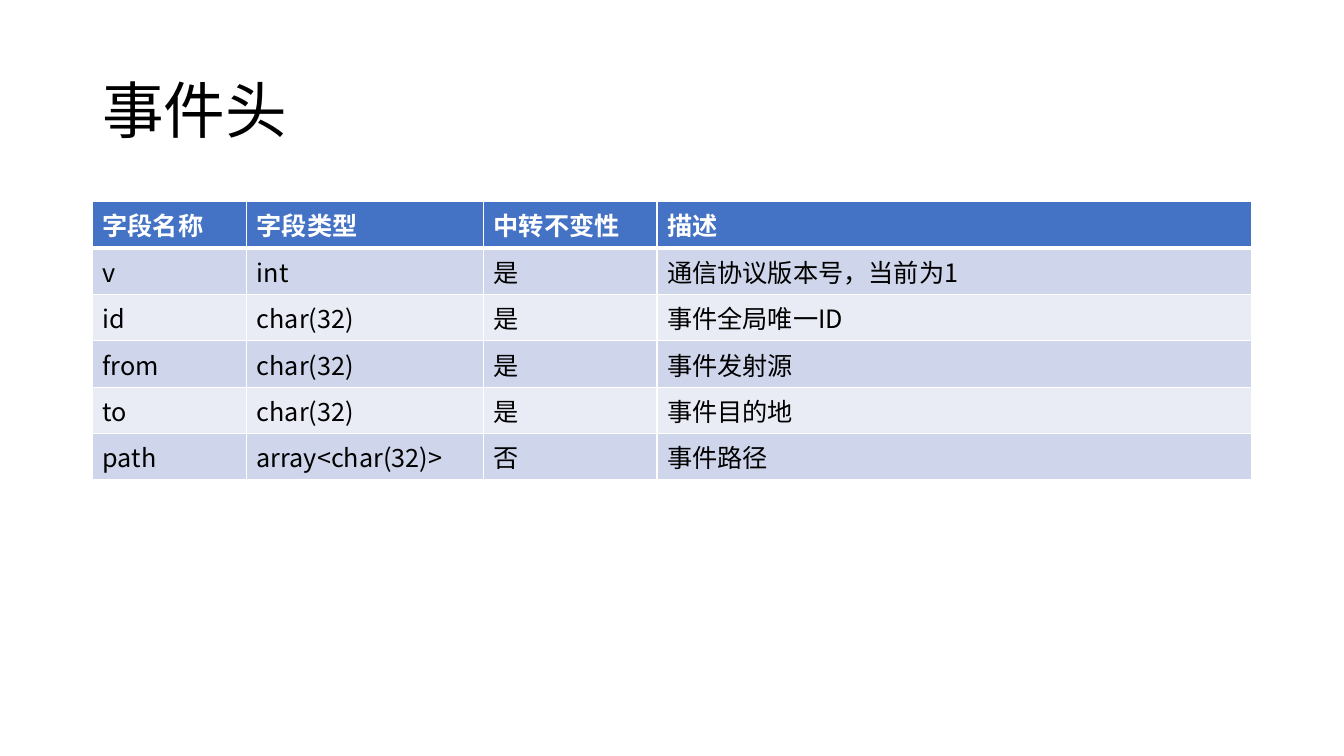
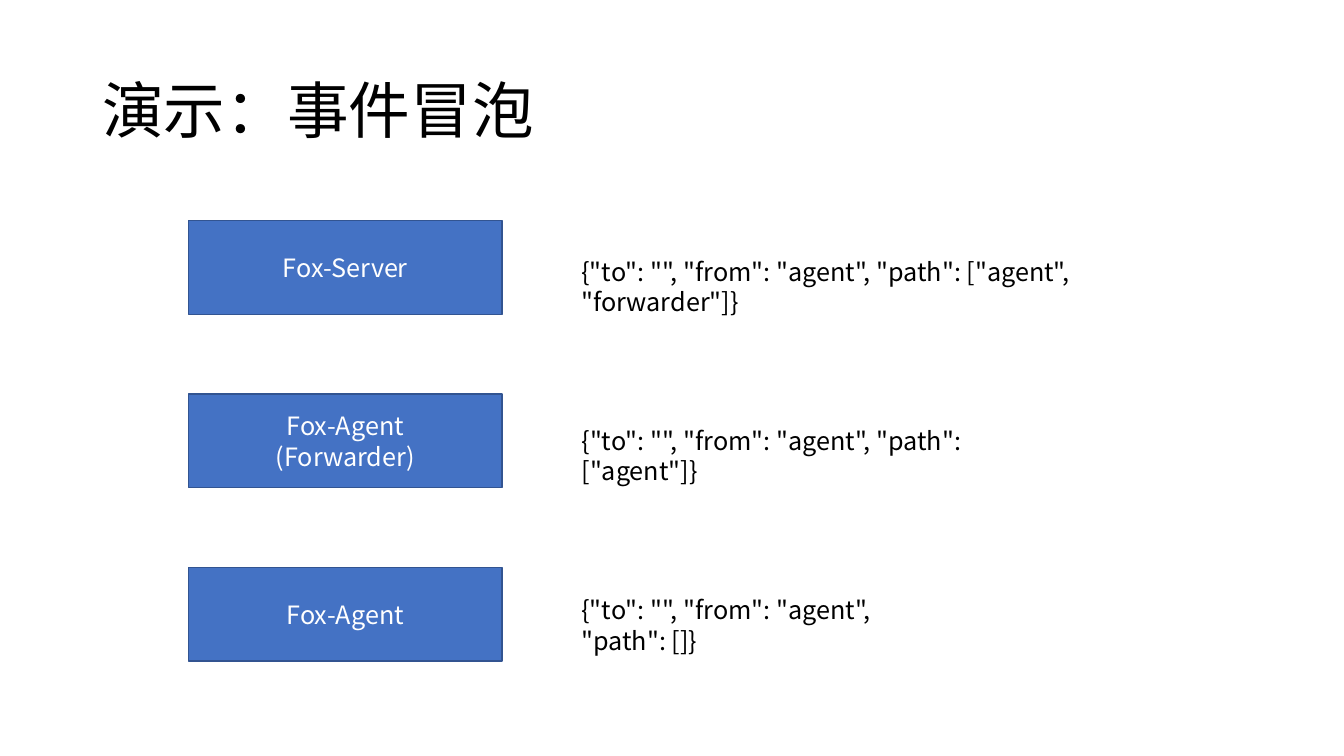
from dataclasses import dataclass

from pptx import Presentation
from pptx import util as u
from pptx.dml.color import RGBColor
from pptx.enum import shapes, text
from pptx.oxml.ns import qn
from lxml import etree


@dataclass(frozen=True)
class Theme:
    font: str = "Noto Sans CJK SC"
    ink: str = "000000"
    paper: str = "FFFFFF"
    accent: str = "4472C4"
    outline: str = "325491"
    bands: tuple = ("CFD5EA", "E9EBF5")
    title_size: int = 44
    body_size: int = 18
    title_spacing: float = 0.9


THEME = Theme()


def rgb(color):
    return RGBColor.from_string(color)


def write(frame, words, size=THEME.body_size, color=THEME.ink, bold=False,
          align=text.PP_ALIGN.LEFT, anchor=None, spacing=None):
    """Fill a text frame, one paragraph for each line of words."""
    frame.word_wrap = True
    if anchor is not None:
        frame.vertical_anchor = anchor
    for index, line in enumerate(words.split("\n")):
        paragraph = frame.add_paragraph() if index else frame.paragraphs[0]
        paragraph.alignment = align
        if spacing:
            paragraph.line_spacing = spacing
        run = paragraph.add_run()
        run.text = line
        run.font.size, run.font.bold = u.Pt(size), bold
        run.font.color.rgb = rgb(color)
        run.font.name = THEME.font
        # East Asian characters take their own typeface
        etree.SubElement(run.font._element, qn("a:ea"), typeface=THEME.font)


class Deck:
    """Style and current slide; lengths are percentages of the slide's size."""

    def __init__(self, theme):
        self.theme = theme
        self.show = Presentation()
        self.show.slide_width, self.show.slide_height = u.Inches(13.33), u.Inches(7.5)
        self.slide = None

    def across(self, share):
        return round(self.show.slide_width * share / 100)

    def down(self, share):
        return round(self.show.slide_height * share / 100)

    def area(self, left, top, width, height):
        return self.across(left), self.down(top), self.across(width), self.down(height)

    def new_slide(self, title):
        self.slide = self.show.slides.add_slide(self.show.slide_layouts[6])
        self.label(title, 6.88, 5.33, 86.25, 19.33, size=self.theme.title_size,
                   anchor=text.MSO_ANCHOR.MIDDLE, spacing=self.theme.title_spacing)

    def label(self, words, left, top, width, height, **style):
        box = self.slide.shapes.add_textbox(*self.area(left, top, width, height))
        write(box.text_frame, words, **style)

    def node(self, words, left, top, width, height):
        box = self.slide.shapes.add_shape(
            shapes.MSO_SHAPE.RECTANGLE, *self.area(left, top, width, height))
        box.shadow.inherit = False
        box.fill.solid()
        box.fill.fore_color.rgb = rgb(self.theme.accent)
        box.line.color.rgb = rgb(self.theme.outline)
        box.line.width = u.Pt(1)
        write(box.text_frame, words, color=self.theme.paper,
              align=text.PP_ALIGN.CENTER, anchor=text.MSO_ANCHOR.MIDDLE)

    def borders(self, cell, **points):
        properties = cell._tc.get_or_add_tcPr()
        for side, width in points.items():
            line = etree.SubElement(properties, qn("a:ln" + side), w=str(u.Pt(width)))
            fill = etree.SubElement(line, qn("a:solidFill"))
            etree.SubElement(fill, qn("a:srgbClr"), val=self.theme.paper)

    def table(self, rows, left, top, columns, row_height):
        grid = self.slide.shapes.add_table(
            len(rows), len(columns),
            *self.area(left, top, sum(columns), row_height * len(rows))).table
        for column, width in zip(grid.columns, columns):
            column.width = self.across(width)
        for r, row in enumerate(rows):
            header = r == 0
            for c, words in enumerate(row):
                cell = grid.cell(r, c)
                self.borders(cell, L=1, R=1, T=3 if r == 1 else 1, B=3 if header else 1)
                cell.fill.solid()
                cell.fill.fore_color.rgb = rgb(
                    self.theme.accent if header else self.theme.bands[(r - 1) % 2])
                write(cell.text_frame, words, bold=header,
                      color=self.theme.paper if header else self.theme.ink)


deck = Deck(THEME)

# Event header fields
deck.new_slide("事件头")
FIELDS = [
    ("字段名称", "字段类型", "中转不变性", "描述"),
    ("v", "int", "是", "通信协议版本号，当前为1"),
    ("id", "char(32)", "是", "事件全局唯一ID"),
    ("from", "char(32)", "是", "事件发射源"),
    ("to", "char(32)", "是", "事件目的地"),
    ("path", "array<char(32)>", "否", "事件路径"),
]
deck.table(FIELDS, 6.88, 26.67, columns=(11.48, 17.63, 12.9, 44.26), row_height=6.14)

# Event bubbling: each node beside the event it sees
deck.new_slide("演示：事件冒泡")
HOPS = [
    ("Fox-Server", '["agent", "forwarder"]', 45.39),
    ("Fox-Agent\n(Forwarder)", '["agent"]', 35.18),
    ("Fox-Agent", "[]", 29.18),
]
for level, (name, route, event_width) in enumerate(HOPS):
    deck.node(name, 14.03, 29.2 + 22.93 * level, 23.33, 12.4)
    deck.label(f'{{"to": "", "from": "agent", "path": {route}}}',
               42.53, 33.2 + 22.4 * level, event_width, 5.33)

deck.show.save("out.pptx")
